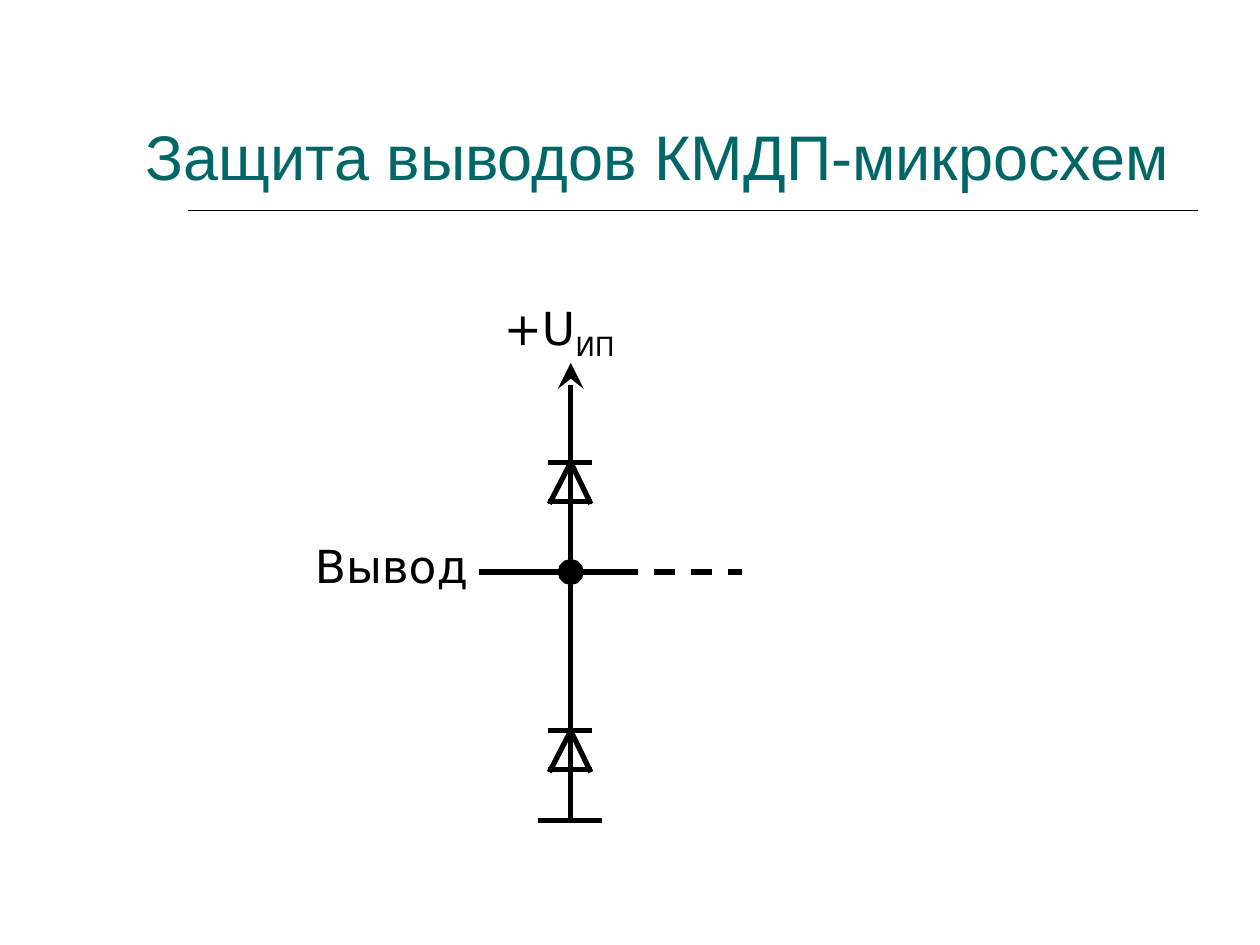
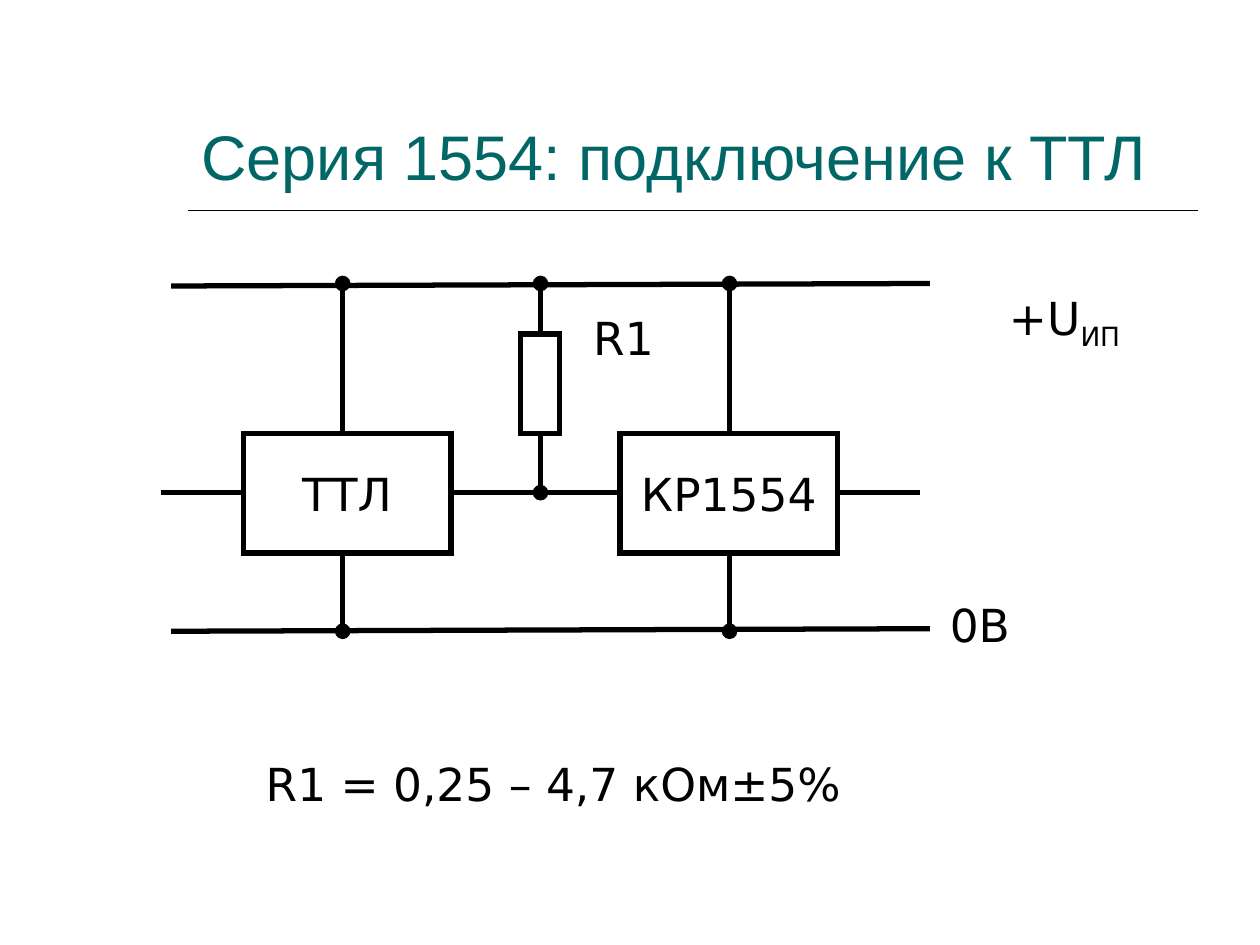
from dataclasses import dataclass

from lxml import etree
from pptx import Presentation, util as u
from pptx.dml.color import RGBColor
from pptx.enum import dml, shapes, text
from pptx.oxml import ns

PX = 9144  # EMU per px, 100 px to the inch
INK, PAPER, TEAL = "000000", "FFFFFF", "006666"
TITLE_FONT, LABEL_FONT = "Arial", "DejaVu Sans"
TITLE_SIZE, LABEL_SIZE = 36, 26
WIRE_WIDTH = 3


@dataclass(frozen=True)
class Wire:
    x1: int
    y1: int
    x2: int
    y2: int
    end: str = ""
    end_size: str = "med"
    dashed: bool = False
    width: int = WIRE_WIDTH


@dataclass(frozen=True)
class Label:
    content: str
    left: int
    top: int
    width: int
    height: int = 54
    subscript: str = ""


@dataclass(frozen=True)
class Block:
    left: int
    top: int
    width: int
    height: int
    content: str = ""


def px(*lengths: int) -> list[int]:
    return [u.Emu(length * PX) for length in lengths]


def color(code: str) -> RGBColor:
    return RGBColor.from_string(code)


def style_line(line, width: int, dashed: bool = False):
    """Set colour, width and square caps; return the a:ln element."""
    line.color.rgb = color(INK)
    line.width = u.Pt(width)
    if dashed:
        line.dash_style = dml.MSO_LINE.DASH
    outline = line._get_or_add_ln()
    outline.set("cap", "sq")
    etree.SubElement(outline, ns.qn("a:miter"), lim="800000")
    return outline


def write(box, content: str, *, font: str = LABEL_FONT, size: int = LABEL_SIZE,
          ink: str = INK, subscript: str = "", align=text.PP_ALIGN.LEFT,
          anchor=text.MSO_ANCHOR.TOP, wrap: bool = True) -> None:
    frame = box.text_frame
    frame.word_wrap = wrap
    frame.vertical_anchor = anchor
    para = frame.paragraphs[0]
    para.alignment = align
    for part in filter(None, (content, subscript)):
        span = para.add_run()
        span.text = part
        span.font.name = font
        span.font.size = u.Pt(size)
        span.font.color.rgb = color(ink)
    if subscript:
        span._r.get_or_add_rPr().set("baseline", "-25000")


def draw_wire(page, wire: Wire) -> None:
    connector = page.shapes.add_connector(
        shapes.MSO_CONNECTOR.STRAIGHT, *px(wire.x1, wire.y1, wire.x2, wire.y2))
    outline = style_line(connector.line, wire.width, wire.dashed)
    if wire.end:
        etree.SubElement(outline, ns.qn("a:tailEnd"), type=wire.end,
                         w=wire.end_size, len=wire.end_size)
    etree.SubElement(connector._element.spPr, ns.qn("a:effectLst"))


def draw_label(page, label: Label) -> None:
    box = page.shapes.add_textbox(
        *px(label.left, label.top, label.width, label.height))
    write(box, label.content, subscript=label.subscript)


def draw_block(page, block: Block) -> None:
    box = page.shapes.add_shape(
        shapes.MSO_SHAPE.RECTANGLE,
        *px(block.left, block.top, block.width, block.height))
    box.shadow.inherit = False
    box.fill.solid()
    box.fill.fore_color.rgb = color(PAPER)
    style_line(box.line, WIRE_WIDTH)
    if block.content:
        write(box, block.content, align=text.PP_ALIGN.CENTER,
              anchor=text.MSO_ANCHOR.MIDDLE, wrap=False)


def diode(x: int, top: int) -> list[Wire]:
    left, right, base = x - 16, x + 15, top + 31
    return [Wire(left, top, right, top), Wire(left, base, right, base),
            Wire(x, top, right, base), Wire(x, top, left, base)]


def add_page(deck, title: str, title_left: int):
    """Add a blank page with the shared title and rule."""
    page = deck.slides.add_slide(deck.slide_layouts[6])
    draw_wire(page, Wire(150, 167, 950, 167, width=1))
    box = page.shapes.add_textbox(*px(title_left, 33, 950 - title_left, 125))
    write(box, title, font=TITLE_FONT, size=TITLE_SIZE, ink=TEAL,
          anchor=text.MSO_ANCHOR.BOTTOM)
    return page


def draw_circuit(page, parts: list) -> None:
    painters = {Wire: draw_wire, Label: draw_label, Block: draw_block}
    for part in parts:
        painters[type(part)](page, part)


def pin_protection() -> list:
    axis, pin_y, ground_y = 453, 454, 651
    return [
        Label("+U", 390, 233, 126, 60, subscript="ИП"),
        Label("Вывод", 240, 422, 165),
        *diode(axis, 580),
        Wire(axis, ground_y, axis, 288, end="stealth", end_size="lg"),
        Wire(axis - 24, ground_y, axis + 23, ground_y),
        *diode(axis, 367),
        Wire(382, pin_y, axis, pin_y, end="oval", end_size="lg"),
        Wire(axis, pin_y, 492, pin_y),
        Wire(492, pin_y, 587, pin_y, dashed=True),
    ]


def ttl_connection() -> list:
    supply_y, signal_y, ground_y = 225, 391, 499
    resistor_x = 429
    ttl = Block(193, 344, 165, 95, "ТТЛ")
    cmos = Block(492, 344, 173, 95, "КР1554")
    resistor = Block(413, 265, 31, 79)
    parts = [
        Label("+U", 791, 225, 126, 60, subscript="ИП"),
        Label("0В", 744, 469, 126),
        ttl, cmos,
        Wire(ttl.left + ttl.width, signal_y, cmos.left, signal_y),
        Wire(ttl.left - 63, signal_y, ttl.left, signal_y),
        Wire(665, signal_y, 728, signal_y),
    ]
    for rail_y in (supply_y, ground_y):
        parts.append(Wire(138, rail_y + 2, 736, rail_y))
    for x in (272, 579):
        parts += [Wire(x, ttl.top + ttl.height, x, ground_y + 2, end="oval"),
                  Wire(x, ttl.top, x, supply_y, end="oval")]
    return parts + [
        Wire(resistor_x, resistor.top, resistor_x, supply_y, end="oval"),
        Wire(resistor_x, resistor.top + resistor.height,
             resistor_x, signal_y, end="oval"),
        resistor,
        Label("R1", 461, 241, 126),
        Label("R1 = 0,25 – 4,7 кОм±5%", 201, 595, 551),
    ]


def main() -> None:
    deck = Presentation()
    deck.slide_width, deck.slide_height = px(1000, 750)
    draw_circuit(add_page(deck, "Защита выводов КМДП-микросхем", 106),
                 pin_protection())
    draw_circuit(add_page(deck, "Серия 1554: подключение к ТТЛ", 150),
                 ttl_connection())
    deck.save("out.pptx")


if __name__ == "__main__":
    main()
